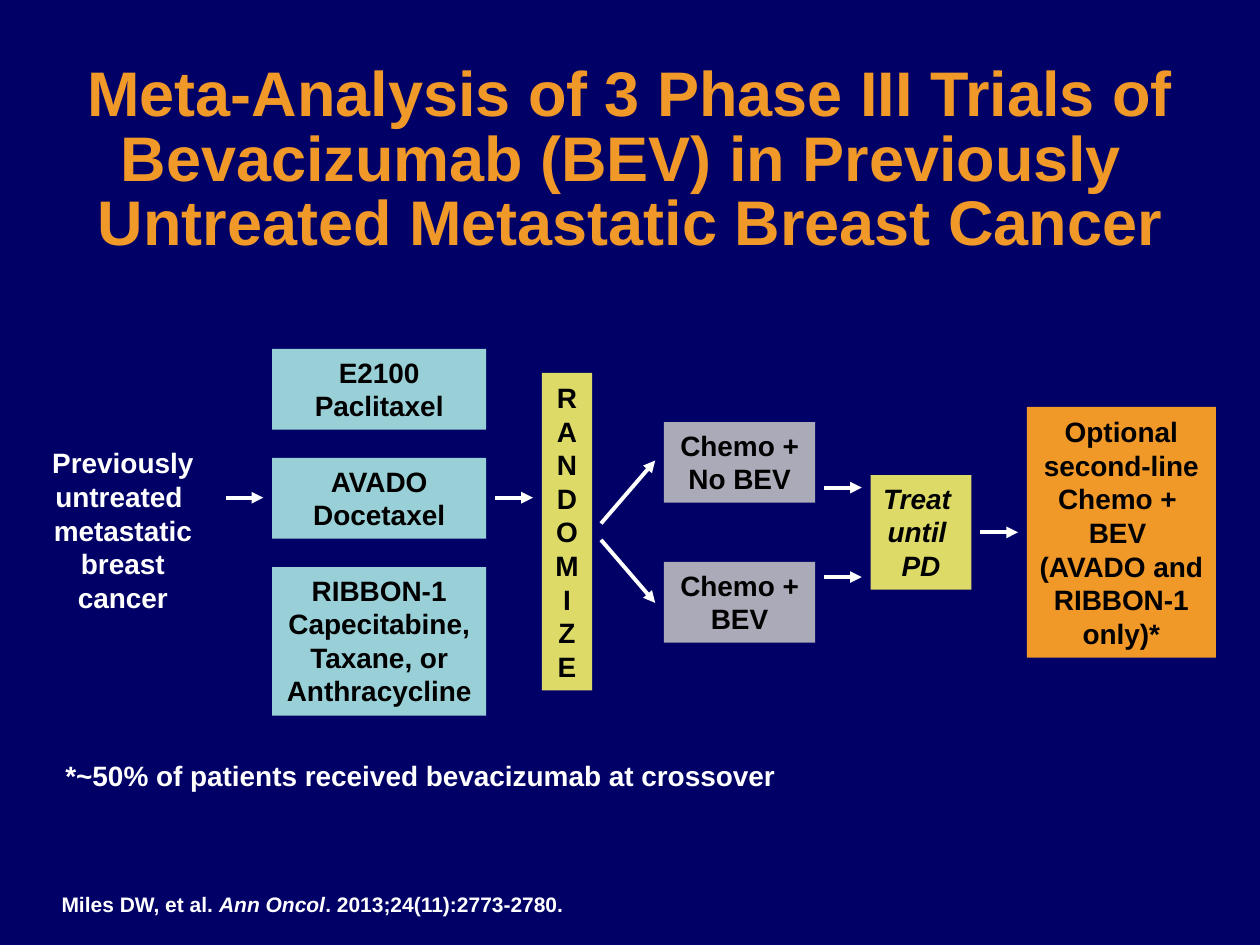
from dataclasses import dataclass

from lxml.etree import SubElement
from pptx import Presentation
from pptx.dml.color import RGBColor
from pptx.enum.shapes import MSO_CONNECTOR, MSO_SHAPE
from pptx.enum.text import MSO_ANCHOR, MSO_AUTO_SIZE, PP_ALIGN
from pptx.oxml import parse_xml
from pptx.oxml.ns import nsdecls, qn
from pptx.util import Inches, Pt


@dataclass(frozen=True)
class Theme:
    font: str = "Arial"
    background: str = "000066"
    accent: str = "F09828"
    light: str = "FFFFFF"
    dark: str = "000000"
    trial: str = "99D0D7"
    arm: str = "AAAAB8"
    step: str = "DDDA68"
    title_size: int = 36
    body_size: int = 16
    citation_size: int = 12
    arrow_width: float = 2.25


@dataclass(frozen=True)
class Box:
    left: float
    top: float
    width: float
    height: float

    @property
    def right(self):
        return self.left + self.width

    @property
    def middle(self):
        return self.top + self.height / 2

    def emu(self):
        return [Inches(v) for v in (self.left, self.top, self.width, self.height)]


THEME = Theme()
ARROW_GAP = 0.07


def style_run(run, size, color, italic=False):
    formats = {"name": THEME.font, "size": Pt(size), "bold": True, "italic": italic}
    for key, value in formats.items():
        setattr(run.font, key, value)
    run.font.color.rgb = RGBColor.from_string(color)


def write(frame, lines, color, align=PP_ALIGN.CENTER, anchor=MSO_ANCHOR.TOP,
          size=THEME.body_size, italic=False, wrap=True):
    """Each line is a paragraph, given as a list of (text, italic) or a string."""
    frame.word_wrap = wrap
    frame.vertical_anchor = anchor
    for index, line in enumerate(lines):
        paragraph = frame.add_paragraph() if index else frame.paragraphs[0]
        paragraph.alignment = align
        parts = [(line, italic)] if isinstance(line, str) else line
        for text, slanted in parts:
            run = paragraph.add_run()
            run.text = text
            style_run(run, size, color, slanted)


def add_label(slide, box, lines, **options):
    label = slide.shapes.add_textbox(*box.emu())
    write(label.text_frame, lines, THEME.light, **options)


def add_block(slide, box, lines, fill, **options):
    block = slide.shapes.add_shape(MSO_SHAPE.RECTANGLE, *box.emu())
    block.shadow.inherit = False
    block.fill.solid()
    block.fill.fore_color.rgb = RGBColor.from_string(fill)
    block.line.fill.background()
    write(block.text_frame, lines, THEME.dark, **options)


def add_arrow(slide, source, target, start_y, end_y=None):
    """Arrow across the space between two boxes."""
    end_y = start_y if end_y is None else end_y
    arrow = slide.shapes.add_connector(
        MSO_CONNECTOR.STRAIGHT,
        Inches(source.right + ARROW_GAP), Inches(start_y),
        Inches(target.left - ARROW_GAP), Inches(end_y))
    arrow.line.color.rgb = RGBColor.from_string(THEME.light)
    arrow.line.width = Pt(THEME.arrow_width)
    SubElement(arrow.line._get_or_add_ln(), qn("a:tailEnd"), type="triangle")
    SubElement(arrow._element.spPr, qn("a:effectLst"))


def add_title(slide, box):
    title = slide.shapes.title
    title.left, title.top, title.width, title.height = box.emu()
    frame = title.text_frame
    frame.text = ("Meta-Analysis of 3 Phase III Trials of Bevacizumab (BEV) in Previously "
                  "\vUntreated Metastatic Breast Cancer")
    frame.auto_size = MSO_AUTO_SIZE.NONE
    frame.word_wrap = True
    frame.vertical_anchor = MSO_ANCHOR.MIDDLE
    paragraph = frame.paragraphs[0]
    paragraph.alignment = PP_ALIGN.CENTER
    paragraph.line_spacing = 0.85
    for run in paragraph.runs:
        style_run(run, THEME.title_size, THEME.accent)
        shadow = parse_xml(
            f'<a:effectLst {nsdecls("a")}><a:outerShdw blurRad="38100" dist="38100" '
            'dir="2700000"><a:srgbClr val="000000"/></a:outerShdw></a:effectLst>')
        run.font._element.find(qn("a:solidFill")).addnext(shadow)


def add_trials(slide, box):
    trials = [
        (0.64, ["E2100", "Paclitaxel"]),
        (0.64, ["AVADO", "Docetaxel"]),
        (1.18, ["RIBBON-1", "Capecitabine,", "Taxane, or Anthracycline"]),
    ]
    gap = (box.height - sum(height for height, _ in trials)) / (len(trials) - 1)
    top = box.top
    for height, lines in trials:
        add_block(slide, Box(box.left, top, box.width, height), lines, THEME.trial)
        top += height + gap


def add_arms(slide, box, randomize, treat):
    """Two treatment arms, each with an arrow in and an arrow out."""
    height = 0.64
    arms = [
        (box.top, ["Chemo + ", "No BEV"], -1),
        (box.top + box.height - height, ["Chemo +", "BEV"], 1),
    ]
    for top, lines, side in arms:
        arm = Box(box.left, top, box.width, height)
        add_block(slide, arm, lines, THEME.arm)
        fork = randomize.middle + side * 0.065
        add_arrow(slide, randomize, arm, fork, fork + side * 0.5)
        add_arrow(slide, arm, treat, treat.middle + side * 0.355)


def add_trial_flow(slide, area):
    def place(left, top, width, height):
        return Box(area.left + left, area.top + top, width, height)

    patients = place(0, 0.72, 1.49, 1.45)
    trials = place(1.93, 0, 1.7, 2.91)
    randomize = place(4.07, 0.19, 0.4, 2.52)
    arms = place(5.04, 0.58, 1.2, 1.75)
    treat = place(6.68, 1, 0.8, 0.91)
    second_line = place(7.92, 0.46, 1.5, 1.99)

    add_label(slide, patients, ["Previously untreated ", "metastatic breast cancer"])
    add_trials(slide, trials)
    add_block(slide, randomize, list("RANDOMIZE"), THEME.step, anchor=MSO_ANCHOR.MIDDLE)
    add_arms(slide, arms, randomize, treat)
    add_block(slide, treat, ["Treat ", "until ", "PD"], THEME.step, italic=True)
    add_block(slide, second_line,
              ["Optional second-line Chemo + ", "BEV ", "(AVADO and RIBBON-1 only)*"],
              THEME.accent, anchor=MSO_ANCHOR.MIDDLE)

    # Arrows between the main stages
    entry_y = area.top + 1.18
    add_arrow(slide, patients, trials, entry_y)
    add_arrow(slide, trials, randomize, entry_y)
    add_arrow(slide, treat, second_line, treat.middle)


def add_notes_below(slide, footnote, citation):
    add_label(slide, footnote, ["*~50% of patients received bevacizumab at crossover"],
              align=PP_ALIGN.LEFT, wrap=False)
    add_label(slide, citation,
              [[("Miles DW, et al. ", False), ("Ann Oncol", True),
                (". 2013;24(11):2773-2780.", False)]],
              align=PP_ALIGN.LEFT, size=THEME.citation_size)


def main():
    deck = Presentation()
    deck.slide_width, deck.slide_height = Inches(10), Inches(7.5)
    slide = deck.slides.add_slide(deck.slide_layouts[5])
    slide.background.fill.solid()
    slide.background.fill.fore_color.rgb = RGBColor.from_string(THEME.background)

    add_title(slide, Box(0.37, 0.66, 9.26, 1.25))
    add_trial_flow(slide, Box(0.23, 2.77, 9.42, 2.91))
    add_notes_below(slide, Box(0.42, 5.97, 6.02, 0.37), Box(0.39, 7.03, 5.62, 0.3))
    deck.save("out.pptx")


if __name__ == "__main__":
    main()
